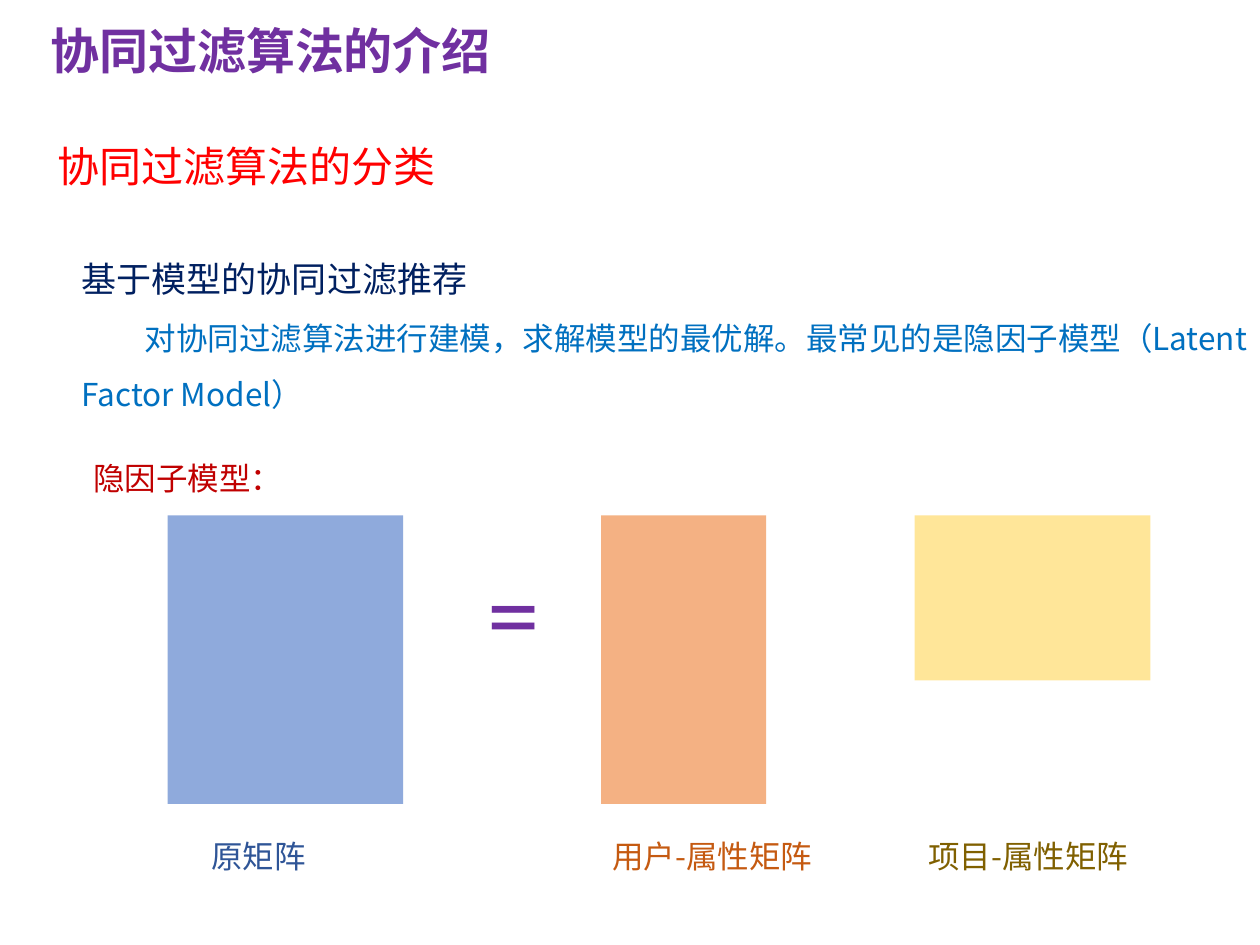
from lxml import etree
from pptx import Presentation
from pptx import util as u
from pptx.dml.color import RGBColor
from pptx.enum import shapes, text
from pptx.oxml.ns import qn

SANS = "Noto Sans CJK SC"
HUES = {
    "purple": "7030A0", "red": "FF0000", "navy": "002060", "sky": "0070C0",
    "wine": "C00000", "blue": "8FAADC", "orange": "F4B183", "yellow": "FFE699",
    "ink": "2F5597", "rust": "C55A11", "olive": "806000",
}
TOP = 4.09         # shared top edge of the matrices
WIDE, TALL = 1.87, 2.29
RANK = 1.31        # shared inner size of the two factor matrices
NOTE = 6.59        # top of the captions

# Matrix: left, width, height, fill; caption: left, width, wording, colour
GRID = [
    (1.33, WIDE, TALL, "blue", 1.58, 2.17, "原矩阵", "ink"),
    (4.77, RANK, TALL, "orange", 4.76, 2.09, "用户-属性矩阵", "rust"),
    (7.26, WIDE, RANK, "yellow", 7.27, 2.18, "项目-属性矩阵", "olive"),
]


def hue(name):
    return RGBColor.from_string(HUES[name])


def style(para, size, color, face=SANS, bold=False):
    para.alignment = text.PP_ALIGN.LEFT
    for run in para.runs:
        font = run.font
        font.size, font.bold, font.name = u.Pt(size), bold, face
        font.color.rgb = hue(color)
        # Chinese glyphs take their face from the East Asian font
        ea = etree.SubElement(run._r.get_or_add_rPr(), qn("a:ea"))
        ea.set("typeface", face)


def place(shape, box):
    shape.left, shape.top, shape.width, shape.height = map(u.Inches, box)
    frame = shape.text_frame
    frame.word_wrap = True
    frame.auto_size = text.MSO_AUTO_SIZE.SHAPE_TO_FIT_TEXT
    frame.vertical_anchor = text.MSO_ANCHOR.TOP
    return frame


def label(slide, box, words, size, color, face=SANS):
    frame = place(slide.shapes.add_textbox(0, 0, 0, 0), box)
    frame.text = words
    style(frame.paragraphs[0], size, color, face)
    return frame


def block(slide, left, width, height, color):
    rect = slide.shapes.add_shape(
        shapes.MSO_SHAPE.RECTANGLE, *map(u.Inches, (left, TOP, width, height)))
    rect.shadow.inherit = False
    rect.fill.solid()
    rect.fill.fore_color.rgb = hue(color)
    rect.line.fill.background()


def main():
    deck = Presentation()
    deck.slide_width, deck.slide_height = u.Inches(10), u.Inches(7.5)
    slide = deck.slides.add_slide(deck.slide_layouts[5])

    # Headings
    head = place(slide.shapes.title, (0.3, 0.11, 4.45, 0.57))
    head.text = "协同过滤算法的介绍"
    style(head.paragraphs[0], 28, "purple", bold=True)
    label(slide, (0.36, 1.07, 5.98, 0.5), "协同过滤算法的分类", 24, "red")

    # Explanation with an indented second paragraph
    body = label(slide, (0.55, 1.83, 9.56, 1.51),
                 "基于模型的协同过滤推荐", 20, "navy")
    more = body.add_paragraph()
    more.text = ("对协同过滤算法进行建模，求解模型的最优解。"
                 "最常见的是隐因子模型（Latent Factor Model）")
    style(more, 18, "sky")
    more._p.get_or_add_pPr().set("indent", str(u.Inches(0.5)))
    for para in body.paragraphs:
        para.line_spacing = 1.5

    # Matrix factorisation
    label(slide, (0.64, 3.59, 9.08, 0.4), "隐因子模型：", 18, "wine")
    for left, width, height, fill, start, span, words, color in GRID:
        block(slide, left, width, height, fill)
        label(slide, (start, NOTE, span, 0.4), words, 18, color)
    label(slide, (3.77, 4.29, 0.88, 1.11), "=", 60, "purple", "Calibri")

    deck.save("out.pptx")


if __name__ == "__main__":
    main()
